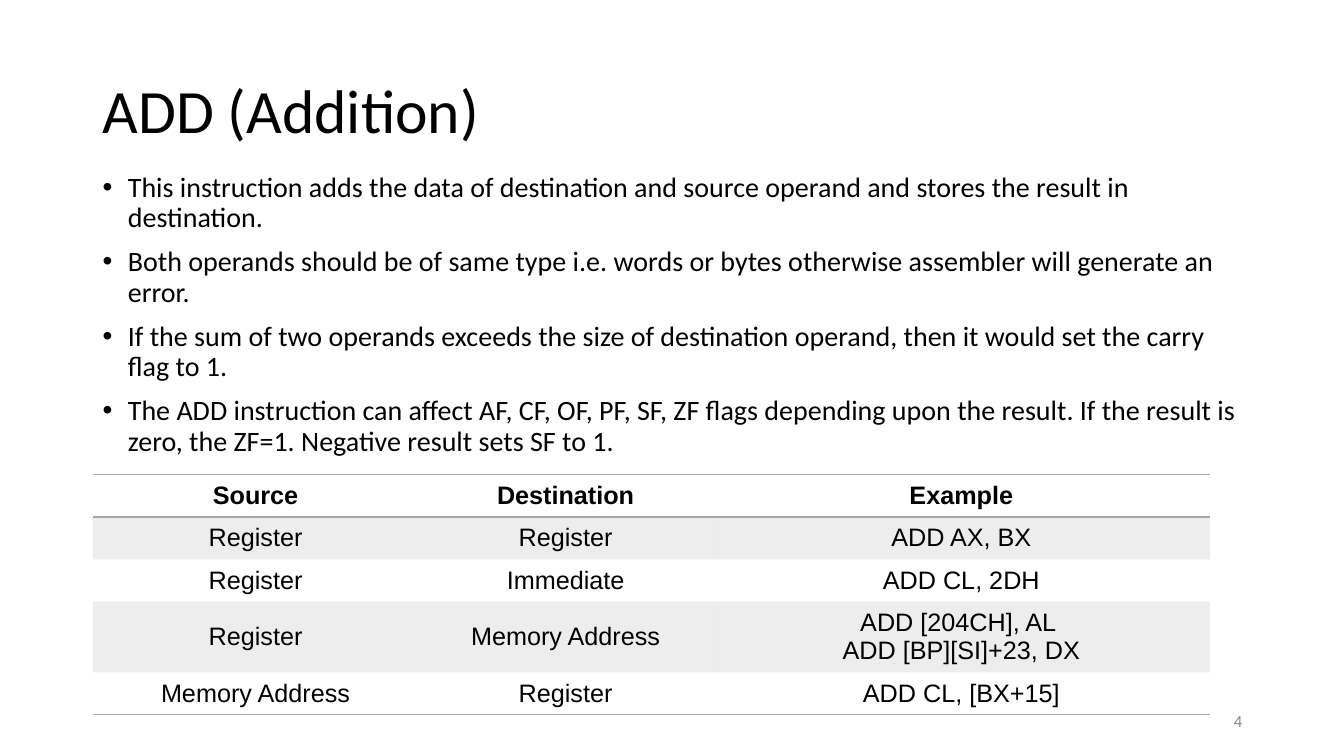
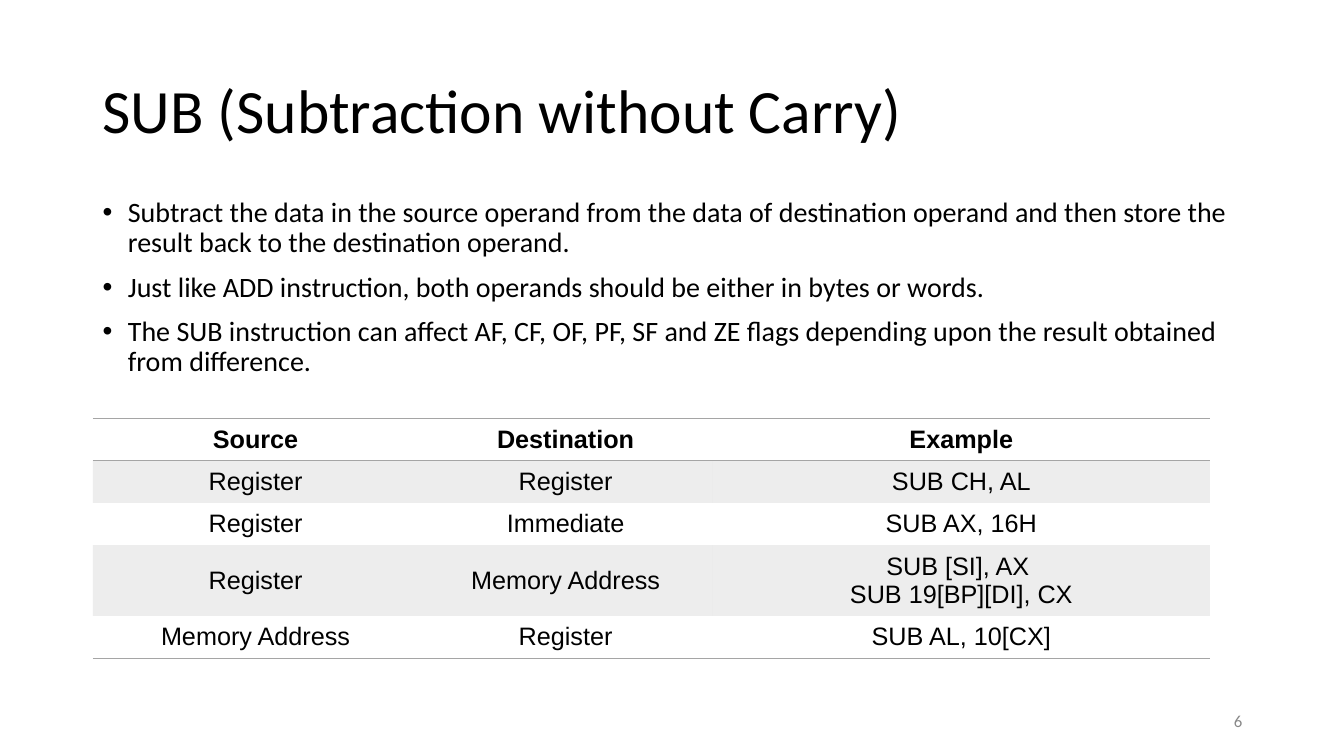
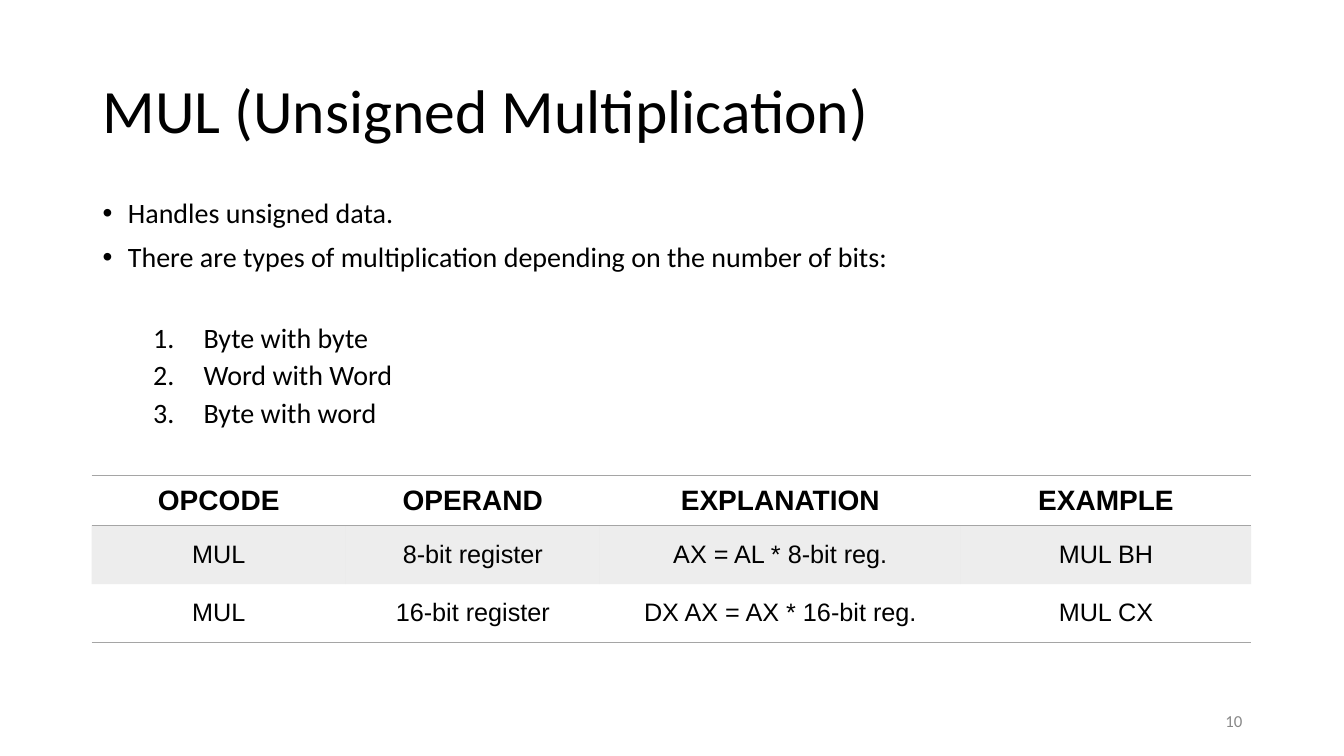
from lxml import etree
from pptx import Presentation
from pptx.dml.color import RGBColor
from pptx.enum.text import MSO_ANCHOR, PP_ALIGN
from pptx.oxml.ns import qn
from pptx.util import Inches, Pt

TOP, MIDDLE = MSO_ANCHOR.TOP, MSO_ANCHOR.MIDDLE
LEFT, CENTER, RIGHT = PP_ALIGN.LEFT, PP_ALIGN.CENTER, PP_ALIGN.RIGHT

BLACK = RGBColor(0x00, 0x00, 0x00)
GRAY = RGBColor(0xA5, 0xA5, 0xA5)
PAGE_GRAY = RGBColor(0x88, 0x88, 0x88)
BAND_ALPHA = 20000

# Shared text styles
TITLE = {"name": "Calibri", "size": Pt(44), "color": BLACK}
BODY = {"name": "Calibri", "size": Pt(20), "color": BLACK}
PAGE = {"name": "Calibri", "size": Pt(12), "color": PAGE_GRAY}
CELL = {"name": "Arial", "size": Pt(18), "color": BLACK, "bold": False}
HEADER = {**CELL, "bold": True}
LARGE_HEADER = {**HEADER, "size": Pt(20)}

# List levels: left indent and hanging depth in inches, space before in points
BULLET = {"indent": 0.25, "hang": 0.25, "before": 10,
          "tag": "a:buChar", "mark": {"char": "•"}}
NUMBER = {"indent": 1, "hang": 0.5, "before": 5,
          "tag": "a:buAutoNum", "mark": {"type": "arabicPeriod"}}
NUMBER_GAP = 36

OPERAND_COLUMNS = [3.23, 2.92, 4.93]
OPERAND_HEADER = ["Source", "Destination", "Example"]
OPERAND_PAIRS = [
    ("Register", "Register"),
    ("Register", "Immediate"),
    ("Register", "Memory Address"),
    ("Memory Address", "Register"),
]


def add_span(para, text, style):
    span = para.add_run()
    span.text = text
    for key, value in style.items():
        if key == "color":
            span.font.color.rgb = value
        else:
            setattr(span.font, key, value)


def add_box(slide, left, top, width, height, anchor=MIDDLE):
    box = slide.shapes.add_textbox(
        Inches(left), Inches(top), Inches(width), Inches(height))
    frame = box.text_frame
    frame.word_wrap = True
    frame.vertical_anchor = anchor
    return frame


def add_line(slide, place, text, style, align=LEFT, spacing=None):
    para = add_box(slide, *place).paragraphs[0]
    para.alignment = align
    para.line_spacing = spacing
    add_span(para, text, style)


def new_slide(deck, title, page):
    slide = deck.slides.add_slide(deck.slide_layouts[6])
    add_line(slide, (0.92, 0.4, 11.5, 1.45), title, TITLE, spacing=0.9)
    add_line(slide, (9.42, 6.95, 3, 0.4), page, PAGE, RIGHT)
    return slide


def format_item(para, level, before):
    para.line_spacing = 0.9
    para.space_before = Pt(before)
    properties = para._p.get_or_add_pPr()
    properties.set("marL", str(Inches(level["indent"])))
    properties.set("indent", str(-Inches(level["hang"])))
    font = etree.SubElement(properties, qn("a:buFont"))
    font.set("typeface", "Arial" if level is BULLET else "Calibri")
    etree.SubElement(properties, qn(level["tag"]), level["mark"])


def add_list(slide, top, width, height, bullets, numbers=()):
    frame = add_box(slide, 0.92, top, width, height, TOP)
    items = [(text, BULLET) for text in bullets]
    items += [(text, NUMBER) for text in numbers]
    for index, (text, level) in enumerate(items):
        para = frame.add_paragraph() if index else frame.paragraphs[0]
        before = level["before"] if index else 0
        if numbers and index == len(bullets):
            before = NUMBER_GAP
        format_item(para, level, before)
        add_span(para, text, BODY)


def set_borders(cell, ruled):
    """Rule the named sides in gray and clear the others."""
    properties = cell._tc.get_or_add_tcPr()
    for index, side in enumerate("LRTB"):
        line = etree.Element(qn(f"a:ln{side}"), w=str(Pt(1)))
        if side in ruled:
            fill = etree.SubElement(line, qn("a:solidFill"))
            etree.SubElement(fill, qn("a:srgbClr"), val=str(GRAY))
        else:
            etree.SubElement(line, qn("a:noFill"))
        properties.insert(index, line)


def fill_cell(cell, banded):
    if not banded:
        cell.fill.background()
        return
    cell.fill.solid()
    cell.fill.fore_color.rgb = GRAY
    color = cell._tc.tcPr.find(".//" + qn("a:srgbClr"))
    etree.SubElement(color, qn("a:alpha"), val=str(BAND_ALPHA))


def write_cell(cell, text, style, margins):
    side, edge = (Inches(margin) for margin in margins)
    formats = {"vertical_anchor": MIDDLE, "margin_left": side,
               "margin_right": side, "margin_top": edge, "margin_bottom": edge}
    for key, value in formats.items():
        setattr(cell, key, value)
    for index, line in enumerate(text.split("\n")):
        frame = cell.text_frame
        para = frame.add_paragraph() if index else frame.paragraphs[0]
        para.alignment = CENTER
        add_span(para, line, style)


def add_ruled_table(slide, left, top, columns, rows, heights=(0.42, 0.42),
                    header=HEADER, header_margins=(0.1, 0.05),
                    margins=(0.1, 0.05)):
    """Table with gray rules around the header and below, and banded rows."""
    row_heights = [heights[0]] + [heights[1]] * (len(rows) - 1)
    table = slide.shapes.add_table(
        len(rows), len(columns), Inches(left), Inches(top),
        Inches(sum(columns)), Inches(sum(row_heights))).table
    table.first_row = table.horz_banding = False
    for column, width in zip(table.columns, columns):
        column.width = Inches(width)
    for r, (values, height) in enumerate(zip(rows, row_heights)):
        table.rows[r].height = Inches(height)
        ruled = "T" * (r in (0, 1)) + "B" * (r in (0, len(rows) - 1))
        for c, text in enumerate(values):
            cell = table.cell(r, c)
            write_cell(cell, text, CELL if r else header,
                       margins if r else header_margins)
            fill_cell(cell, banded=r % 2 == 1)
            set_borders(cell, ruled)


def add_operand_table(slide, top, examples):
    rows = [OPERAND_HEADER]
    rows += [[*pair, text] for pair, text in zip(OPERAND_PAIRS, examples)]
    add_ruled_table(slide, 0.92, top, OPERAND_COLUMNS, rows)


def build_add(deck):
    slide = new_slide(deck, "ADD (Addition)", "4")
    add_list(slide, 1.67, 11.5, 4.76, [
        "This instruction adds the data of destination and source operand and "
        "stores the result in destination.",
        "Both operands should be of same type i.e. words or bytes otherwise "
        "assembler will generate an error.",
        "If the sum of two operands exceeds the size of destination operand, "
        "then it would set the carry flag to 1.",
        "The ADD instruction can affect AF, CF, OF, PF, SF, ZF flags depending "
        "upon the result. If the result is zero, the ZF=1. Negative result "
        "sets SF to 1.",
    ])
    add_operand_table(slide, 4.71, [
        "ADD AX, BX", "ADD CL, 2DH",
        "ADD [204CH], AL \nADD [BP][SI]+23, DX", "ADD CL, [BX+15]"])


def build_sub(deck):
    slide = new_slide(deck, "SUB (Subtraction without Carry)", "6")
    add_list(slide, 1.92, 11.5, 4.76, [
        "Subtract the data in the source operand from the data of destination "
        "operand and then store the result back to the destination operand.",
        "Just like ADD instruction, both operands should be either in bytes or "
        "words.",
        "The SUB instruction can affect AF, CF, OF, PF, SF and ZE flags "
        "depending upon the result obtained from difference.",
    ])
    add_operand_table(slide, 4.15, [
        "SUB CH, AL", "SUB AX, 16H",
        "SUB [SI], AX \nSUB 19[BP][DI], CX", "SUB AL, 10[CX]"])


def build_mul(deck):
    slide = new_slide(deck, "MUL (Unsigned Multiplication)", "10")
    add_list(slide, 1.93, 10.98, 4.32, [
        "Handles unsigned data.",
        "There are types of multiplication depending on the number of bits:",
    ], ["Byte with byte", "Word with Word", "Byte with word"])
    add_ruled_table(slide, 0.91, 4.72, [2.52, 2.52, 3.58, 2.88], [
        ["OPCODE", "OPERAND", "EXPLANATION", "EXAMPLE"],
        ["MUL", "8-bit register", "AX = AL * 8-bit reg.", "MUL BH"],
        ["MUL", "16-bit register", "DX AX = AX * 16-bit reg.", "MUL CX"],
    ], heights=(0.48, 0.57), header=LARGE_HEADER,
        header_margins=(0.08, 0.08), margins=(0.1, 0.14))


def main():
    deck = Presentation()
    deck.slide_width, deck.slide_height = Inches(13.33), Inches(7.5)
    for build in (build_add, build_sub, build_mul):
        build(deck)
    deck.save("out.pptx")


if __name__ == "__main__":
    main()
